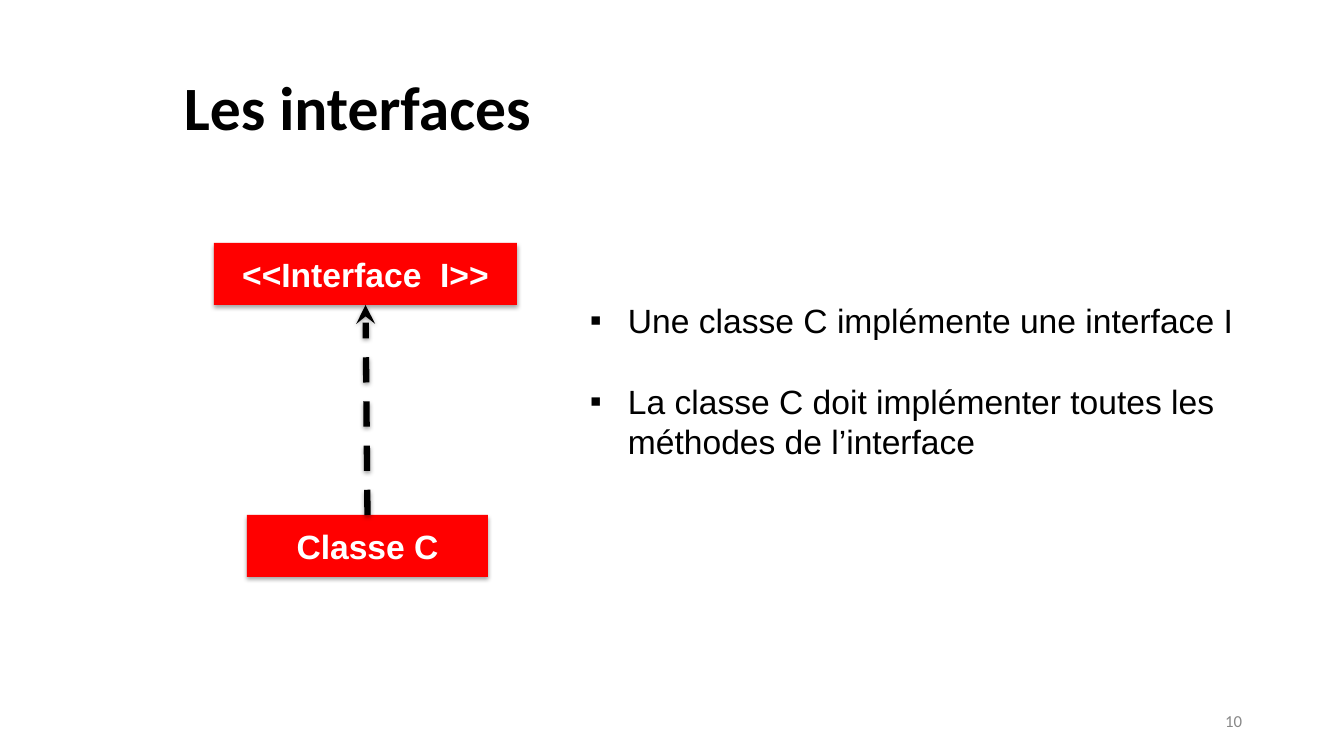
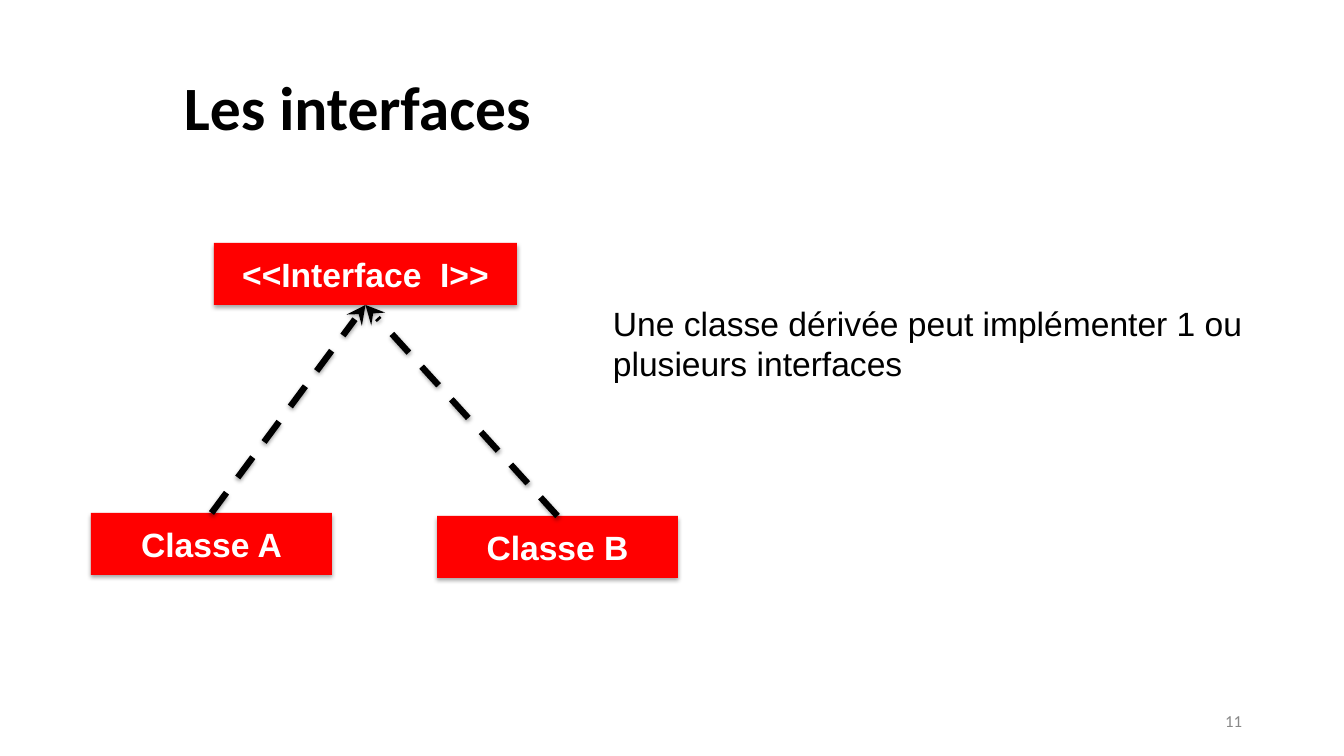
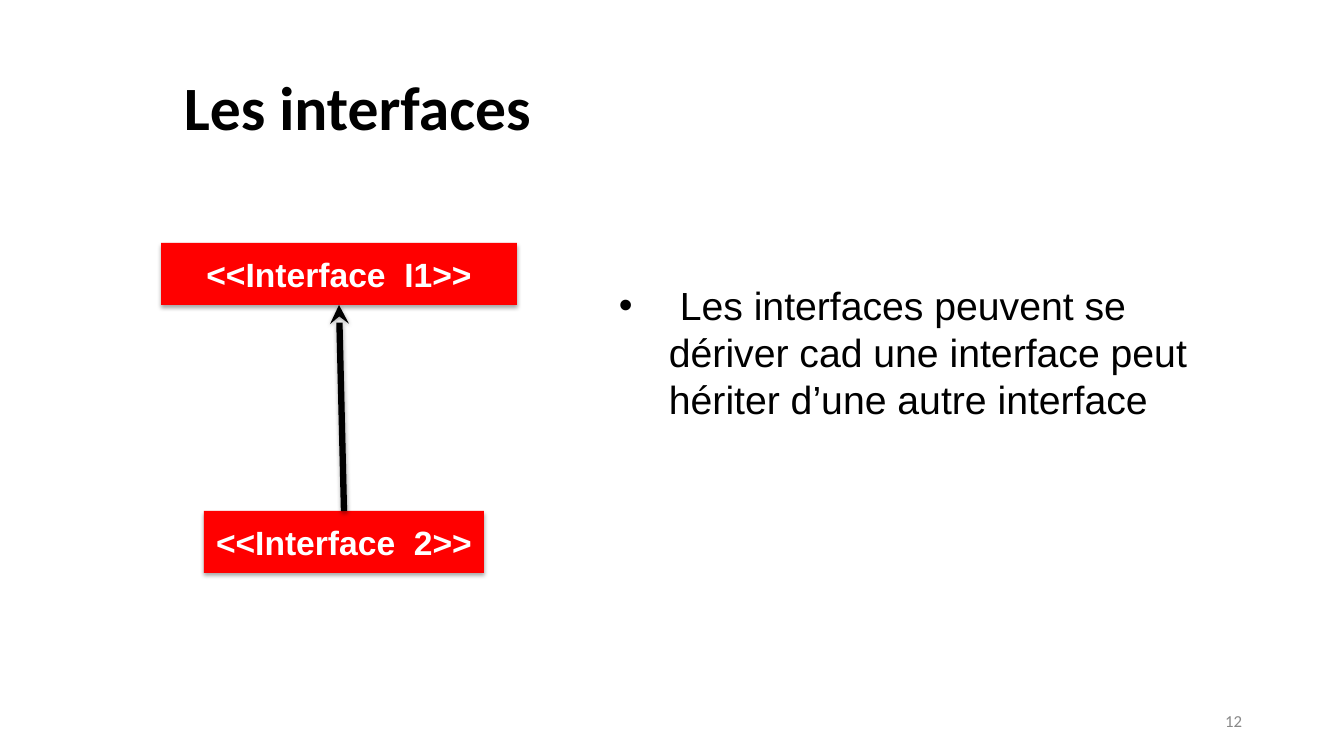
from lxml import etree
from pptx import Presentation
from pptx import util as u
from pptx.dml.color import RGBColor
from pptx.enum import dml, shapes, text
from pptx.oxml import ns

PX = 9144000 / 1008
RED, BLACK, WHITE, GRAY = "FF0000", "000000", "FFFFFF", "888888"
LEFT, CENTER, RIGHT = text.PP_ALIGN.LEFT, text.PP_ALIGN.CENTER, text.PP_ALIGN.RIGHT
TOP, MIDDLE = text.MSO_ANCHOR.TOP, text.MSO_ANCHOR.MIDDLE

# Text styles shared by all slides
STYLES = {
    "title": dict(font=dict(name="Calibri", size=u.Pt(44), bold=True), color=BLACK,
                  paragraph=dict(alignment=LEFT, line_spacing=0.9), anchor=MIDDLE),
    "number": dict(font=dict(name="Calibri", size=u.Pt(12)), color=GRAY,
                   paragraph=dict(alignment=RIGHT), anchor=MIDDLE),
    "class": dict(font=dict(name="Arial", size=u.Pt(24), bold=True), color=WHITE,
                  paragraph=dict(alignment=CENTER), anchor=MIDDLE),
    "body": dict(font=dict(name="Arial", size=u.Pt(24)), color=BLACK,
                 paragraph=dict(alignment=LEFT), anchor=TOP),
    "large body": dict(font=dict(name="Arial", size=u.Pt(28)), color=BLACK,
                       paragraph=dict(alignment=LEFT), anchor=TOP),
}

# Content: boxes are (label, left, top, width); the first is the parent
BOX_HEIGHT = 62
SLIDES = [
    dict(parent=("<<Interface  I>>", 214, 243, 303),
         children=[("Classe C", 247, 515, 241)],
         dashed=True, style="body", place=(580, 295, 741, 214), bullet="▪", indent=38,
         lines=["Une classe C implémente une interface I",
                "La classe C doit implémenter toutes les méthodes de l’interface"]),
    dict(parent=("<<Interface  I>>", 214, 243, 303),
         children=[("Classe A", 91, 513, 241), ("Classe B", 437, 516, 241)],
         dashed=True, style="body", place=(603, 298, 741, 132), bullet=None, indent=0,
         lines=["Une classe dérivée peut implémenter 1 ou plusieurs interfaces"]),
    dict(parent=("<<Interface  I1>>", 161, 243, 356),
         children=[("<<Interface  2>>", 204, 511, 280)],
         dashed=False, style="large body", place=(609, 276, 653, 248), bullet="•", indent=50,
         lines=["\u00a0Les interfaces peuvent se dériver cad une interface peut "
                "hériter d’une autre interface"]),
]


def write(shape, lines, style_name):
    """Fill a shape with paragraphs in one of the shared styles."""
    style, frame = STYLES[style_name], shape.text_frame
    frame.word_wrap, frame.vertical_anchor = True, style["anchor"]
    frame.text = "\n".join(lines)
    for paragraph in frame.paragraphs:
        for name, value in style["paragraph"].items():
            setattr(paragraph, name, value)
        font = paragraph.runs[0].font
        for name, value in style["font"].items():
            setattr(font, name, value)
        font.color.rgb = RGBColor.from_string(style["color"])


def cast_shadow(shape, distance, opacity):
    """Give a box or connector a soft shadow straight below it."""
    properties = shape.element.spPr
    effects = properties.find(ns.qn("a:effectLst"))
    if effects is None:
        effects = etree.SubElement(properties, ns.qn("a:effectLst"))
    shadow = etree.SubElement(effects, ns.qn("a:outerShdw"), blurRad="40000",
                              dist=str(distance), dir="5400000", rotWithShape="0")
    tint = etree.SubElement(shadow, ns.qn("a:srgbClr"), val=BLACK)
    etree.SubElement(tint, ns.qn("a:alpha"), val=str(opacity * 1000))


deck = Presentation()
deck.slide_width, deck.slide_height = round(1344 * PX), round(756 * PX)

for number, content in enumerate(SLIDES, start=10):
    slide = deck.slides.add_slide(deck.slide_layouts[5])

    # Title
    title = slide.shapes.title
    title.left, title.top, title.width, title.height = (
        round(length * PX) for length in (132, 38, 1159, 146))
    write(title, ["Les interfaces"], "title")
    title.text_frame.margin_left = round(52 * PX)

    # Slide number
    page = slide.shapes.add_textbox(*(round(length * PX) for length in (950, 701, 302, 40)))
    write(page, [str(number)], "number")

    # Explanation
    explanation = slide.shapes.add_textbox(*(round(length * PX) for length in content["place"]))
    write(explanation, content["lines"], content["style"])
    for order, paragraph in enumerate(explanation.text_frame.paragraphs):
        if order:
            paragraph.space_before = u.Pt(29)
        if content["bullet"]:
            layout = paragraph._p.get_or_add_pPr()
            indent = round(content["indent"] * PX)
            layout.set("marL", str(indent))
            layout.set("indent", str(-indent))
            etree.SubElement(layout, ns.qn("a:buFont"), typeface="Arial")
            etree.SubElement(layout, ns.qn("a:buChar"), char=content["bullet"])

    # Interface and class boxes
    boxes = []
    for label, left, top, width in [content["parent"], *content["children"]]:
        box = slide.shapes.add_shape(
            shapes.MSO_SHAPE.RECTANGLE,
            *(round(length * PX) for length in (left, top, width, BOX_HEIGHT)))
        box.fill.solid()
        box.fill.fore_color.rgb = RGBColor.from_string(RED)
        box.line.fill.background()
        box.shadow.inherit = False
        cast_shadow(box, 23000, 35)
        write(box, [label], "class")
        boxes.append(box)

    # Arrows from each child up to the parent
    parent, *children = boxes
    for child in children:
        arrow = slide.shapes.add_connector(shapes.MSO_CONNECTOR.STRAIGHT, 0, 0, 0, 0)
        arrow.begin_connect(child, 0)
        arrow.end_connect(parent, 2)
        arrow.line.width = u.Pt(4.5)
        arrow.line.color.rgb = RGBColor.from_string(BLACK)
        if content["dashed"]:
            arrow.line.dash_style = dml.MSO_LINE.DASH
        etree.SubElement(arrow.line._get_or_add_ln(), ns.qn("a:tailEnd"), type="stealth")
        cast_shadow(arrow, 20000, 38)

deck.save("out.pptx")
